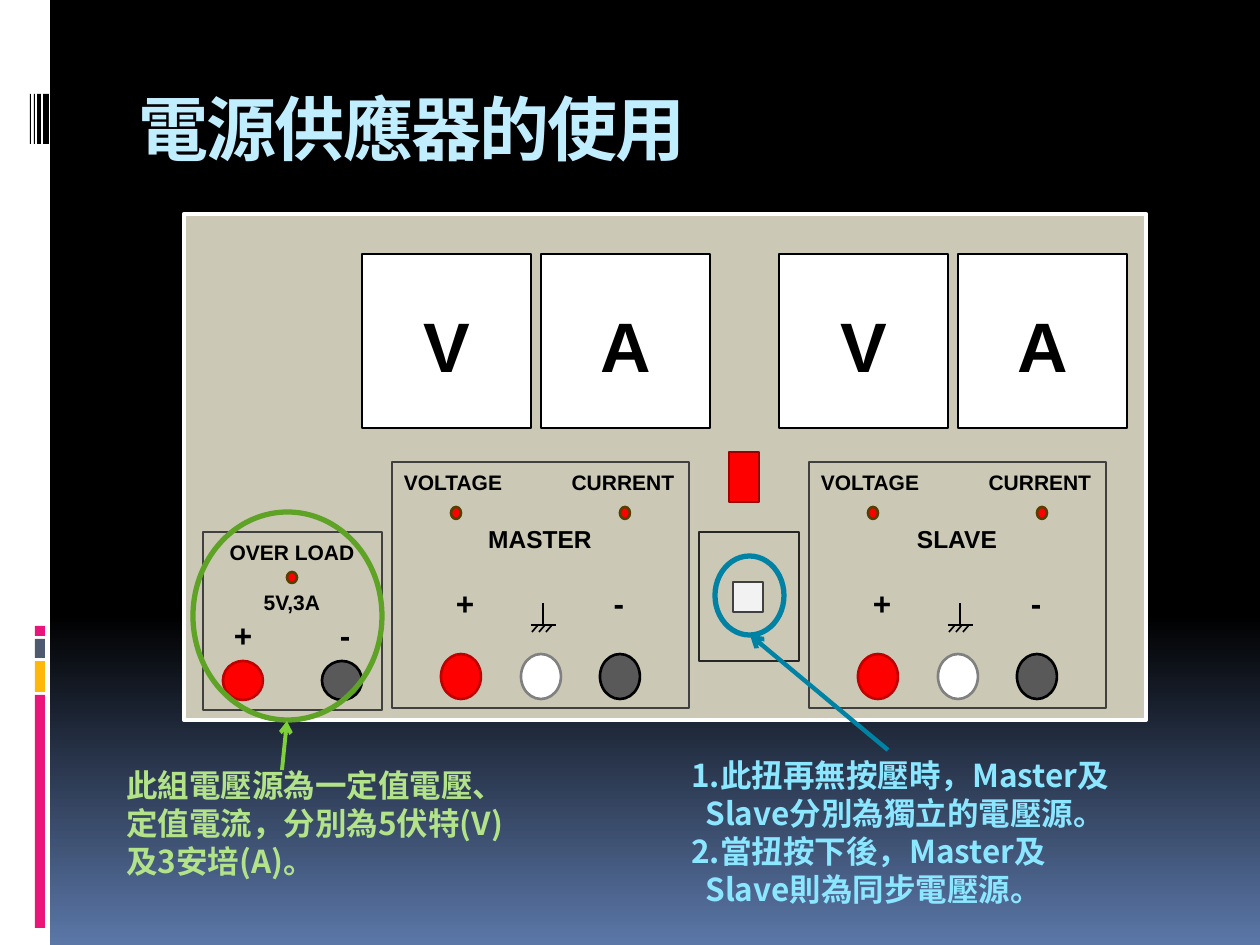
from copy import deepcopy
from lxml import etree
from pptx import Presentation
from pptx import util as u
from pptx.dml.color import RGBColor
from pptx.enum import shapes, text
from pptx.oxml.ns import qn

PX = 914400 / 126
BLACK = RGBColor(0, 0, 0)
WHITE = RGBColor(255, 255, 255)
RED = RGBColor(255, 0, 0)
WINE = RGBColor(0xC0, 0, 0)
BRICK = RGBColor(0x9E, 0, 0)
BROWN = RGBColor(0x57, 0x3E, 0x01)
COAL = RGBColor(0x26, 0x26, 0x26)
DARK = RGBColor(0x40, 0x40, 0x40)
GRAY = RGBColor(0x59, 0x59, 0x59)
MID = RGBColor(0x80, 0x80, 0x80)
PALE = RGBColor(0xF2, 0xF2, 0xF2)
SAND = RGBColor(0xCB, 0xC8, 0xB5)
NAVY = RGBColor(0x5B, 0x77, 0xA8)
PINK = RGBColor(0xEA, 0x15, 0x7A)
AMBER = RGBColor(0xFE, 0xB8, 0x0A)
SLATE = RGBColor(0x4E, 0x5B, 0x6F)
ICE = RGBColor(0xC1, 0xEE, 0xFF)
SKY = RGBColor(0x8B, 0xE6, 0xFF)
TEAL = RGBColor(0, 0x82, 0xA5)
LIME = RGBColor(0xB2, 0xE3, 0x89)
LEAF = RGBColor(0x5F, 0xA3, 0x26)
GREEN = RGBColor(0x7F, 0xD1, 0x3B)
SANS, CJK = "Arial", "Noto Sans CJK SC"
RECT, OVAL = shapes.MSO_SHAPE.RECTANGLE, shapes.MSO_SHAPE.OVAL
MID_Y = text.MSO_ANCHOR.MIDDLE
CENTER = text.PP_ALIGN.CENTER


def px(n):
    return u.Emu(round(n * PX))


def put(item, vals):
    for key, val in vals.items():
        setattr(item, key, val)


def shape(slide, kind, box, fill=None, line=None, width=1.5):
    item = slide.shapes.add_shape(kind, *map(px, box))
    item.shadow.inherit = False
    if fill is None:
        item.fill.background()
    else:
        item.fill.solid()
        item.fill.fore_color.rgb = fill
    if line is None:
        item.line.fill.background()
    else:
        item.line.color.rgb = line
        item.line.width = u.Pt(width)
    return item


def line(slide, start, end, color, width, arrow=False):
    kind = shapes.MSO_CONNECTOR.STRAIGHT
    item = slide.shapes.add_connector(kind, *map(px, start + end))
    item.line.color.rgb = color
    item.line.width = u.Pt(width)
    if arrow:
        tail = etree.SubElement(item.line._get_or_add_ln(), qn("a:tailEnd"))
        tail.set("type", "arrow")
    etree.SubElement(item._element.spPr, qn("a:effectLst"))


def write(para, words, size, color, face):
    run = para.add_run()
    run.text = words
    put(run.font, {"size": u.Pt(size), "bold": True, "name": face})
    run.font.color.rgb = color
    if face == CJK:
        east = etree.SubElement(run._r.get_or_add_rPr(), qn("a:ea"))
        east.set("typeface", face)
    return run


def label(slide, mid, words, size):
    wide, high = 150, 30
    box = mid[0] - wide // 2, mid[1] - high // 2, wide, high
    frame = slide.shapes.add_textbox(*map(px, box)).text_frame
    put(frame, {"word_wrap": True, "vertical_anchor": MID_Y,
                "margin_top": 0, "margin_bottom": 0})
    frame.paragraphs[0].alignment = CENTER
    write(frame.paragraphs[0], words, size, BLACK, SANS)


def scene(slide):
    fill = slide.background.fill
    fill.gradient()
    fill.gradient_angle = 270
    for stop, (pos, color) in zip(fill.gradient_stops, [(0, BLACK), (1, NAVY)]):
        stop.position = pos
        stop.color.rgb = color
    first = next(slide.element.iter(qn("a:gs")))
    bend = deepcopy(first)
    bend.set("pos", "65000")
    first.addnext(bend)
    shape(slide, RECT, (0, 0, 50, 945), WHITE)
    for top, high, color in [(695, 233, PINK), (661, 31, AMBER),
                             (639, 19, SLATE), (626, 10, PINK)]:
        shape(slide, RECT, (35, top, 10, high), color)
    for left, wide in [(43, 6), (37, 4), (34, 1), (30, 1)]:
        shape(slide, RECT, (left, 94, wide, 50), BLACK)


def title(slide, box):
    item = slide.shapes.title
    put(item, dict(zip(("left", "top", "width", "height"), map(px, box))))
    put(item.text_frame, {"vertical_anchor": text.MSO_ANCHOR.TOP,
                          "word_wrap": True})
    para = item.text_frame.paragraphs[0]
    put(para, {"alignment": text.PP_ALIGN.LEFT, "line_spacing": px(92)})
    run = write(para, "電源供應器的使用", 40, ICE, CJK)
    run._r.get_or_add_rPr().set("spc", "-100")


def ground(slide, x, y):
    for step in (0, 7, 14):
        line(slide, (x - 5 + step, y), (x - 11 + step, y + 7), BLACK, 0.94)
    line(slide, (x - 12, y), (x + 13, y), BLACK, 1.5)
    line(slide, (x, y), (x, y - 22), BLACK, 1.5)


def channel(slide, box, name):
    x, y, wide, high = box
    for left, unit in [(-30, "V"), (149, "A")]:
        dial = shape(slide, RECT, (x + left, y - 208, 169, 174),
                     WHITE, BLACK, 0.75)
        frame = dial.text_frame
        put(frame, {"vertical_anchor": MID_Y, "margin_top": px(14)})
        frame.paragraphs[0].alignment = CENTER
        write(frame.paragraphs[0], unit, 40, BLACK, SANS)
    shape(slide, RECT, box, SAND, DARK, 1.25)
    for left, top, words, size in [(61, 20, "VOLTAGE", 12),
                                   (231, 20, "CURRENT", 12),
                                   (148, 77, name, 14),
                                   (73, 141, "+", 18), (227, 141, "-", 18)]:
        label(slide, (x + left, y + top), words, size)
    ground(slide, x + 151, y + 163)
    for left, fill, edge in [(49, RED, WINE), (129, WHITE, MID),
                             (208, GRAY, BLACK)]:
        shape(slide, OVAL, (x + left, y + 192, 40, 45), fill, edge)
    for left in (59, 228):
        shape(slide, OVAL, (x + left, y + 45, 10, 12), RED, BROWN)


def fixed(slide, box):
    x, y, wide, high = box
    shape(slide, RECT, box, SAND, DARK, 1.25)
    for left, top, words, size in [(89, 20, "OVER LOAD", 12),
                                   (89, 70, "5V,3A", 12),
                                   (40, 103, "+", 18), (142, 103, "-", 18)]:
        label(slide, (x + left, y + top), words, size)
    for left, fill, edge in [(20, RED, WINE), (119, GRAY, BLACK)]:
        shape(slide, OVAL, (x + left, y + 129, 40, 39), fill, edge)
    shape(slide, OVAL, (x + 84, y + 40, 10, 11), RED, BROWN)


def switch(slide, box):
    x, y, wide, high = box
    shape(slide, RECT, (x + 30, y - 80, 30, 50), RED, BRICK)
    shape(slide, RECT, (x + 34, y + 50, 30, 30), PALE, DARK)
    shape(slide, RECT, box, None, COAL)


def note(slide, box, rows, color):
    frame = slide.shapes.add_textbox(*map(px, box)).text_frame
    frame.word_wrap = True
    for num, (words, inset) in enumerate(rows):
        para = frame.add_paragraph() if num else frame.paragraphs[0]
        para.line_spacing = px(38)
        para._p.get_or_add_pPr().set("marL", str(px(inset)))
        write(para, words, 18, color, CJK)


def main():
    deck = Presentation()
    put(deck, {"slide_width": px(1260), "slide_height": px(945)})
    slide = deck.slides.add_slide(deck.slide_layouts[5])
    scene(slide)
    title(slide, (126, 71, 1071, 126))
    shape(slide, RECT, (184, 214, 962, 506), SAND, WHITE, 2.5)
    fixed(slide, (203, 532, 179, 178))
    for num, name in enumerate(["MASTER", "SLAVE"]):
        channel(slide, (392 + 417 * num, 462, 297, 246), name)
    switch(slide, (699, 532, 100, 129))
    shape(slide, OVAL, (715, 556, 69, 79), None, TEAL, 3)
    note(slide, (679, 750, 486, 165),
         [("1.此扭再無按壓時，Master及", 0), ("Slave分別為獨立的電壓源。", 14),
          ("2.當扭按下後，Master及", 0), ("Slave則為同步電壓源。", 14)], SKY)
    note(slide, (114, 760, 486, 127),
         [("此組電壓源為一定值電壓、", 0), ("定值電流，分別為5伏特(V)", 0),
          ("及3安培(A)。", 0)], LIME)
    shape(slide, OVAL, (193, 512, 189, 208), None, LEAF, 3)
    line(slide, (282, 770), (287, 721), GREEN, 2.25, True)
    line(slide, (888, 750), (750, 635), TEAL, 2.5, True)
    deck.save("out.pptx")


if __name__ == "__main__":
    main()
